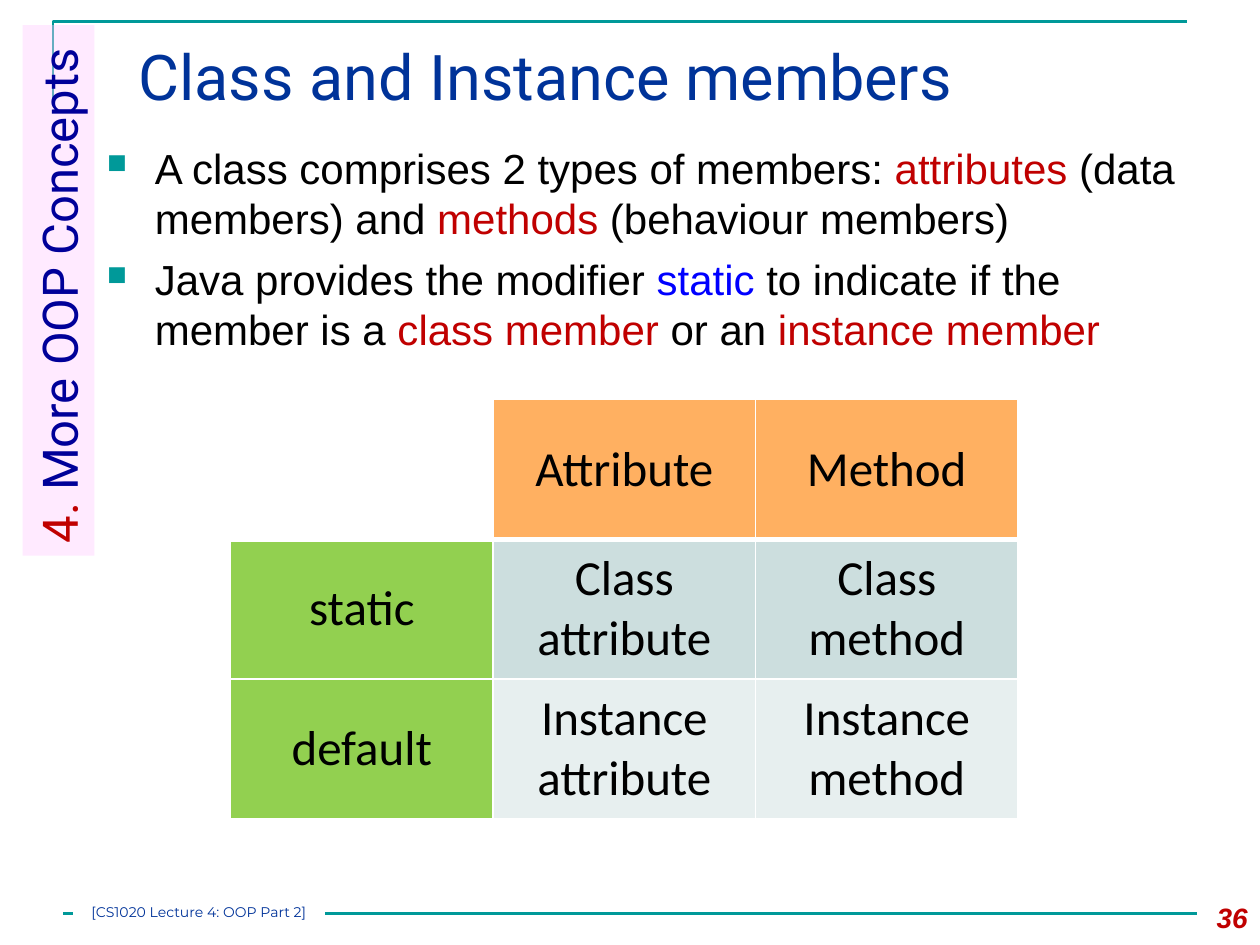
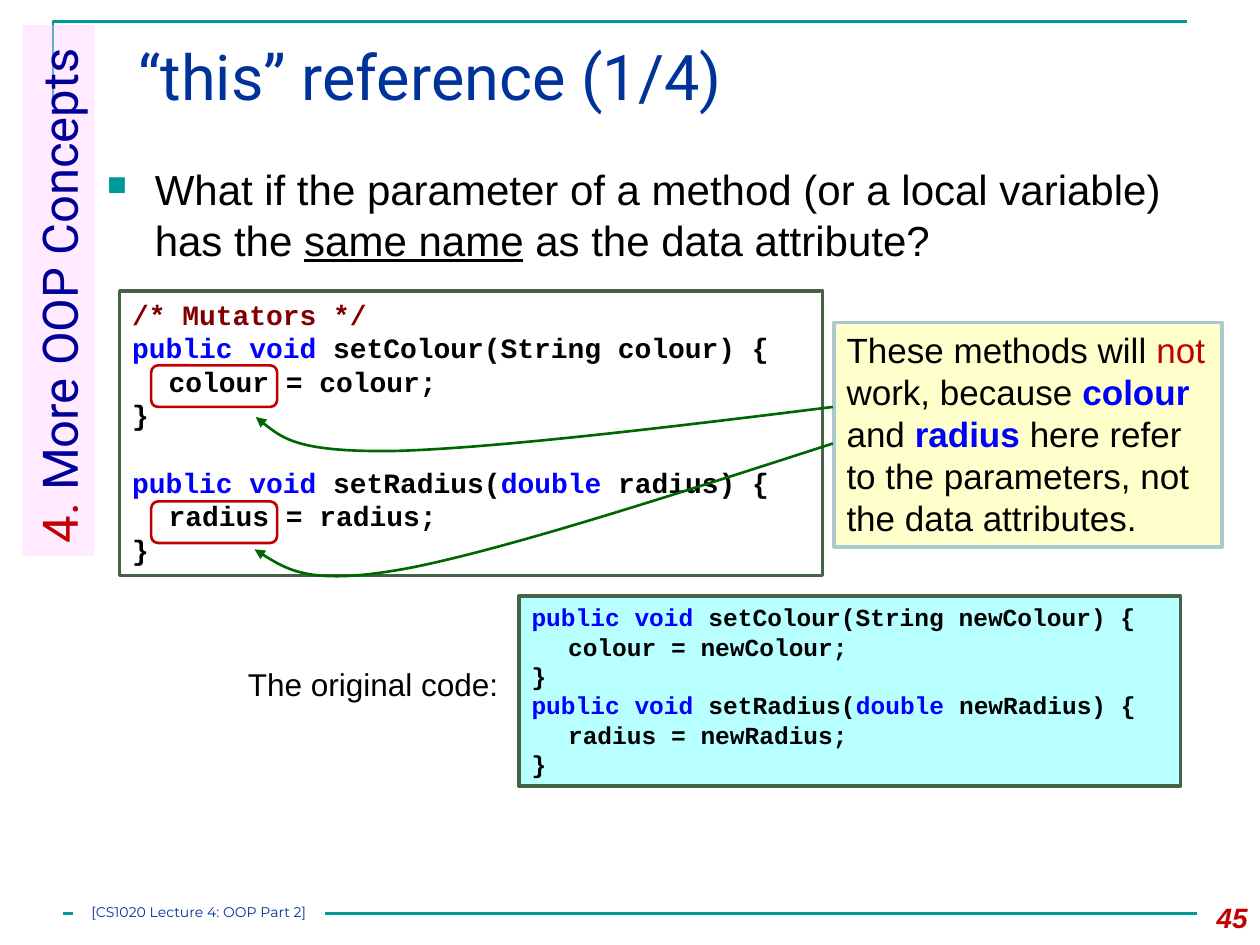
from lxml.etree import SubElement
from pptx import Presentation
from pptx.dml.color import RGBColor
from pptx.enum.shapes import MSO_CONNECTOR, MSO_SHAPE
from pptx.enum.text import MSO_ANCHOR, PP_ALIGN
from pptx.oxml.ns import qn
from pptx.util import Pt

PX = 9144  # 100 px to the inch
COLORS = {
    "white": "FFFFFF", "black": "000000", "teal": "009999", "title": "003399",
    "navy": "000099", "red": "C00000", "blue": "0000FF", "maroon": "800000",
    "pink": "FFCCFF", "orange": "FFB061", "lime": "92D050", "mist": "CCDEDE",
    "pale": "E7EFEF", "moss": "446246", "cream": "FFFFCC", "haze": "AACACA",
    "green": "006600", "aqua": "B8FFFF",
}
FORMATS = {
    "title": {"name": "Roboto", "size": Pt(36), "color": "title"},
    "band": {"name": "Roboto", "size": Pt(28), "color": "navy"},
    "body": {"name": "Arial", "size": Pt(24), "color": "black"},
    "callout": {"name": "Arial", "size": Pt(20), "color": "black"},
    "caption": {"name": "Arial", "size": Pt(18), "color": "black"},
    "number": {"name": "Arial", "size": Pt(16), "color": "red", "bold": True, "italic": True},
    "footer": {"name": "Montserrat", "size": Pt(8), "color": "title"},
    "cell": {"name": "Calibri", "size": Pt(28), "color": "black", "bold": False},
    "code": {"name": "Courier New", "size": Pt(16), "color": "black", "bold": True},
    "small code": {"name": "Courier New", "size": Pt(14), "color": "black", "bold": True},
}


def emu(*lengths):
    return [round(n * PX) for n in lengths]


def rgb(name):
    return RGBColor.from_string(COLORS[name])


def add_xml(parent, tag, **attrs):
    return SubElement(parent, qn(tag), {k: str(v) for k, v in attrs.items()})


class Deck:
    """Holds the presentation, its style and the current slide."""

    def __init__(self):
        self.prs = Presentation()
        self.prs.slide_width, self.prs.slide_height = emu(1000, 750)

    def slide(self, title, number):
        self.s = self.prs.slides.add_slide(self.prs.slide_layouts[6])
        self.polyline([(42, 83), (42, 17), (942, 17)], "teal")
        self.line((50, 725), (950, 725), "teal")
        self.text((100, 25, 850, 86), [[title]], "title")
        self.text((933, 710, 67, 40), [[str(number)]], "number", align=PP_ALIGN.RIGHT)
        band = self.box((-164, 202, 421, 57), fill="pink")
        band.rotation = 270
        add_xml(band._element.spPr.find(".//" + qn("a:srgbClr")), "a:alpha", val=40000)
        self.put_text(band.text_frame, [[("4.", "red"), " More OOP Concepts"]], "band")
        label = self.box((58, 717, 200, 17), fill="white")
        tf = label.text_frame
        for side in ("left", "top", "right", "bottom"):
            setattr(tf, f"margin_{side}", 0)
        self.put_text(tf, [["[CS1020 Lecture 4: OOP Part 2]"]], "footer", align=PP_ALIGN.CENTER)

    def put_text(self, tf, paras, style, align=PP_ALIGN.LEFT, gaps=None, decorate=None):
        """Each run is a string or (text, colour, extra font values); gaps maps paragraph to points before."""
        tf.word_wrap = True
        for i, runs in enumerate(paras):
            p = tf.paragraphs[0] if i == 0 else tf.add_paragraph()
            p.alignment = align
            p.space_before = Pt((gaps or {}).get(i, 0))
            if decorate:
                decorate(p._p.get_or_add_pPr())
            for run in runs:
                text, color, *extra = (run, None) if isinstance(run, str) else run
                values = dict(FORMATS[style])
                for more in extra:
                    values.update(more)
                r = p.add_run()
                r.text = text
                default = values.pop("color")
                r.font.color.rgb = rgb(color or default)
                for key, value in values.items():
                    setattr(r.font, key, value)

    def paint(self, sp, fill=None, line=None, width=1.5):
        sp.shadow.inherit = False
        if fill:
            sp.fill.solid()
            sp.fill.fore_color.rgb = rgb(fill)
        else:
            sp.fill.background()
        if line:
            sp.line.color.rgb = rgb(line)
            sp.line.width = Pt(width)
        else:
            sp.line.fill.background()

    def box(self, at, kind=MSO_SHAPE.RECTANGLE, **paint):
        sp = self.s.shapes.add_shape(kind, *emu(*at))
        self.paint(sp, **paint)
        sp.text_frame.vertical_anchor = MSO_ANCHOR.TOP
        return sp

    def text(self, at, paras, style, **layout):
        sp = self.s.shapes.add_textbox(*emu(*at))
        self.put_text(sp.text_frame, paras, style, **layout)

    def bullets(self, at, paras):
        def mark(pPr):
            indent, = emu(38)
            pPr.set("marL", str(indent))
            pPr.set("indent", str(-indent))
            add_xml(add_xml(pPr, "a:buClr"), "a:srgbClr", val=COLORS["teal"])
            add_xml(pPr, "a:buSzPct", val=65000)
            add_xml(pPr, "a:buChar", char="■")
        self.text(at, paras, "body", gaps={1: 6}, decorate=mark)

    def code(self, at, paras, style="code", fill=None, gaps=None):
        def tabs(pPr):
            stops = add_xml(pPr, "a:tabLst")
            for i in range(1, 6):
                add_xml(stops, "a:tab", pos=emu(i * 59 // 2)[0], algn="l")
        sp = self.box(at, fill=fill, line="moss", width=2)
        self.put_text(sp.text_frame, paras, style, gaps=gaps, decorate=tabs)

    def line(self, start, end, color):
        c = self.s.shapes.add_connector(MSO_CONNECTOR.STRAIGHT, *emu(*start, *end))
        c.line.color.rgb = rgb(color)
        c.line.width = Pt(1.5)
        add_xml(c._element.spPr, "a:effectLst")

    def polyline(self, points, color):
        builder = self.s.shapes.build_freeform(*points[0], scale=PX)
        builder.add_line_segments(points[1:], close=False)
        sp = builder.convert_to_shape()
        self.paint(sp, line=color)
        return sp

    def curved_arrow(self, points, color):
        """Draw cubic curves: a start, then two controls and an end for each curve."""
        sp = self.polyline(points, color)
        outline = sp._element.find(".//" + qn("a:path"))
        segments = outline.findall(qn("a:lnTo"))
        for i in range(0, len(segments), 3):
            curve = add_xml(outline, "a:cubicBezTo")
            for segment in segments[i:i + 3]:
                curve.append(segment[0])
                outline.remove(segment)
        add_xml(sp._element.spPr.find(qn("a:ln")), "a:tailEnd", type="triangle")

    def table(self, at, rows, fills):
        table = self.s.shapes.add_table(len(rows), len(rows[0]), *emu(*at)).table
        for i, row in enumerate(rows):
            for j, text in enumerate(row):
                cell = table.cell(i, j)
                cell.vertical_anchor = MSO_ANCHOR.MIDDLE
                if text:
                    self.put_text(cell.text_frame, [[text]], "cell", align=PP_ALIGN.CENTER)
                tcPr = cell._tc.get_or_add_tcPr()
                for side in "LRTB":
                    heavy = (i, side) in ((0, "B"), (1, "T"))
                    ln = add_xml(tcPr, f"a:ln{side}", w=int(Pt(3 if heavy else 1)))
                    add_xml(add_xml(ln, "a:solidFill"), "a:srgbClr", val=COLORS["white"])
                cell.fill.solid()
                cell.fill.fore_color.rgb = rgb(fills[i][j])


def members_slide(deck):
    deck.slide("Class and Instance members", 36)
    deck.bullets((75, 108, 875, 200), [
        ["A class comprises 2 types of members: ", ("attributes", "red"), " (data members) and ",
         ("methods", "red"), " (behaviour members)"],
        ["Java provides the modifier ", ("static", "blue"), " to indicate if the member is a ",
         ("class member ", "red"), "or an ", ("instance member", "red")],
    ])
    deck.table((183, 317, 625, 333), [
        ["", "Attribute", "Method"],
        ["static", "Class attribute", "Class method"],
        ["default", "Instance attribute", "Instance method"],
    ], [["white", "orange", "orange"], ["lime", "mist", "mist"], ["lime", "pale", "pale"]])


def setters(colour, radius):
    """Code lines of the two setters with the given parameter names."""
    start = ("public void ", "blue")
    return [
        [start, f"setColour(String {colour}) {{"], [f"\tcolour = {colour};"], ["}"],
        [start, "setRadius(", ("double", "blue"), f" {radius}) {{"], [f"\tradius = {radius};"], ["}"],
    ]


def this_slide(deck):
    deck.slide("“this” reference (1/4)", 45)
    deck.bullets((75, 125, 875, 106), [
        ["What if the parameter of a method (or a local variable) has the ",
         ("same name", "black", {"underline": True}), " as the data attribute?"],
    ])
    deck.code((95, 231, 558, 226), [[("/* Mutators */", "maroon")], *setters("colour", "radius")],
              gaps={4: 19.2})
    callout = deck.box((662, 256, 308, 178), fill="cream", line="haze", width=2)
    bold = {"bold": True}
    deck.put_text(callout.text_frame, [[
        "These methods will ", ("not ", "red"), "work, because ", ("colour ", "blue", bold), "and ",
        ("radius", "blue", bold), " here refer to the parameters, not the data attributes.",
    ]], "callout")
    for top in (290, 398):
        deck.box((120, top, 100, 33), MSO_SHAPE.ROUNDED_RECTANGLE, line="red")
    deck.curved_arrow([(661, 323), (525, 340), (389, 356), (313, 358),
                       (236, 359), (220, 345), (203, 331)], "green")
    deck.curved_arrow([(661, 352), (531, 394), (401, 436), (324, 451),
                       (248, 465), (225, 451), (202, 436)], "green")
    deck.code((412, 473, 525, 151), setters("newColour", "newRadius"), "small code", fill="aqua")
    deck.text((187, 523, 233, 40), [["The original code:"]], "caption")


def main():
    deck = Deck()
    members_slide(deck)
    this_slide(deck)
    deck.prs.save("out.pptx")


if __name__ == "__main__":
    main()
